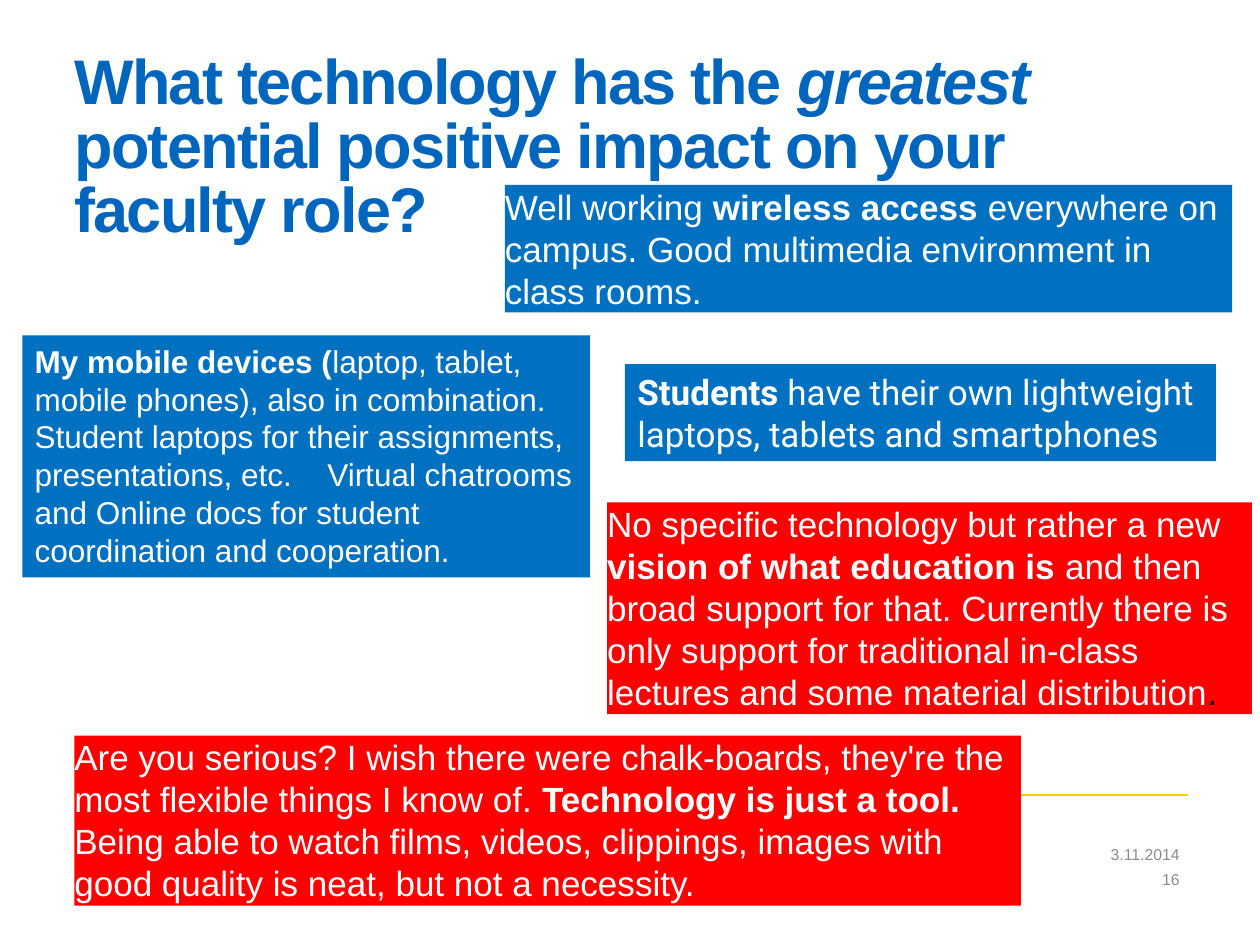
from lxml.etree import SubElement as Sub
from pptx import Presentation
from pptx.dml.color import RGBColor as Rgb
from pptx.enum.shapes import MSO_CONNECTOR as Link, MSO_SHAPE as Shape
from pptx.enum.text import MSO_ANCHOR as Anchor, MSO_AUTO_SIZE as Fit, PP_ALIGN as Align
from pptx.oxml.ns import qn
from pptx.util import Cm, Pt

BLUE, RED, WHITE = "0070C0", "FF0000", "FFFFFF"
BOLD = {"bold": True}
PAD = (0.25, 0.13, 0.25, 0.13)
NONE = (0, 0, 0, 0)


def tint(code):
    return Rgb.from_string(code)


def style(font, form):
    for key, val in form.items():
        if key == "color":
            font.color.rgb = tint(val)
        else:
            setattr(font, key, val)


def place(shape, spot):
    for key, val in zip(("left", "top", "width", "height"), spot):
        setattr(shape, key, Cm(val))


def write(shape, lines, form, pad=NONE, anchor=Anchor.TOP, align=Align.LEFT):
    """Each line is a list of (text, extra format) runs."""
    frame = shape.text_frame
    frame.word_wrap = True
    frame.auto_size = Fit.NONE
    frame.vertical_anchor = anchor
    for side, val in zip(("left", "top", "right", "bottom"), pad):
        setattr(frame, "margin_" + side, Cm(val))
    for num, line in enumerate(lines):
        para = frame.add_paragraph() if num else frame.paragraphs[0]
        para.alignment = align
        for text, extra in line:
            run = para.add_run()
            run.text = text
            style(run.font, {**form, **extra})
    return frame


def add_title(slide):
    title = slide.shapes.title
    place(title, (1.5, 1.07, 22.45, 3.33))
    form = {"name": "Arial", "size": Pt(36), "color": "0065BD", "bold": True}
    runs = [("What technology has the ", {}),
            ("greatest ", {"italic": True}),
            ("potential positive impact on your faculty role?", {})]
    para = write(title, [runs], form).paragraphs[0]
    para.line_spacing = 0.85
    for run in para.runs:  # tighter letters
        run.font._element.set("spc", "-100")


def add_rule(slide):
    rule = slide.shapes.add_connector(
        Link.STRAIGHT, Cm(1.5), Cm(16.02), Cm(23.95), Cm(16.02))
    rule.line.color.rgb = tint("FFCD00")
    rule.line.width = Pt(1)
    Sub(rule._element.spPr, qn("a:effectLst"))


def add_foot(slide, text, top, high):
    box = slide.shapes.add_textbox(Cm(13.72), Cm(top), Cm(10.06), Cm(high))
    form = {"name": "Arial", "size": Pt(9), "color": "8C8C8C"}
    write(box, [[(text, {})]], form, (0.25, 0.13, 0, 0.13),
          Anchor.MIDDLE, Align.RIGHT)


def add_quote(slide, spot, fill, lines, pad=NONE, size=20, face="Arial"):
    box = slide.shapes.add_shape(Shape.RECTANGLE, *map(Cm, spot))
    box.shadow.inherit = False
    box.fill.solid()
    box.fill.fore_color.rgb = tint(fill)
    box.line.fill.background()
    form = {"name": face, "size": Pt(size), "color": WHITE}
    return write(box, lines, form, pad)


def add_tab(para, pos):
    tabs = Sub(para._p.get_or_add_pPr(), qn("a:tabLst"))
    Sub(tabs, qn("a:tab"), pos=str(Cm(pos)), algn="l")


def main():
    deck = Presentation()
    deck.slide_width, deck.slide_height = Cm(25.4), Cm(19.05)
    slide = deck.slides.add_slide(deck.slide_layouts[5])

    # Frame of the slide
    add_title(slide)
    add_rule(slide)
    add_foot(slide, "3.11.2014", 16.97, 0.51)
    add_foot(slide, "16", 17.5, 0.46)

    # Quotes from staff
    add_quote(slide, (10.18, 3.73, 14.66, 2.57), BLUE, [
        [("Well working ", {}), ("wireless access ", BOLD), ("everywhere on", {})],
        [("campus. Good multimedia environment in", {})],
        [("class rooms.", {})]])
    add_quote(slide, (1.5, 14.83, 19.08, 3.43), RED, [
        [("Are you serious? I wish there were chalk-boards, they're the", {})],
        [("most flexible things I know of. ", {}),
         ("Technology is just a tool.", BOLD)],
        [("Being able to watch films, videos, clippings, images with", {})],
        [("good quality is neat, but not a necessity.", {})]])
    add_quote(slide, (12.24, 10.13, 13, 4.27), RED, [
        [("No specific technology but rather a new", {})],
        [("vision of what education is ", BOLD),
         ("and then broad support for that. Currently there is only support "
          "for traditional in-class lectures and some material distribution", {}),
         (".", {"color": "000000"})]])
    tools = add_quote(slide, (0.45, 6.76, 11.45, 4.88), BLUE, [
        [("My mobile devices (", BOLD),
         ("laptop, tablet, mobile phones), also in combination. Student laptops "
          "for their assignments, presentations, etc.\tVirtual chatrooms and "
          "Online docs for student coordination and cooperation.", {})]],
        PAD, 18)
    add_tab(tools.paragraphs[0], 5.9)
    add_quote(slide, (12.6, 7.34, 11.91, 1.96), BLUE, [
        [("Students ", BOLD), ("have their own lightweight", {})],
        [("laptops, tablets and smartphones", {})]], PAD, 20, "Roboto")

    deck.save("out.pptx")


if __name__ == "__main__":
    main()
